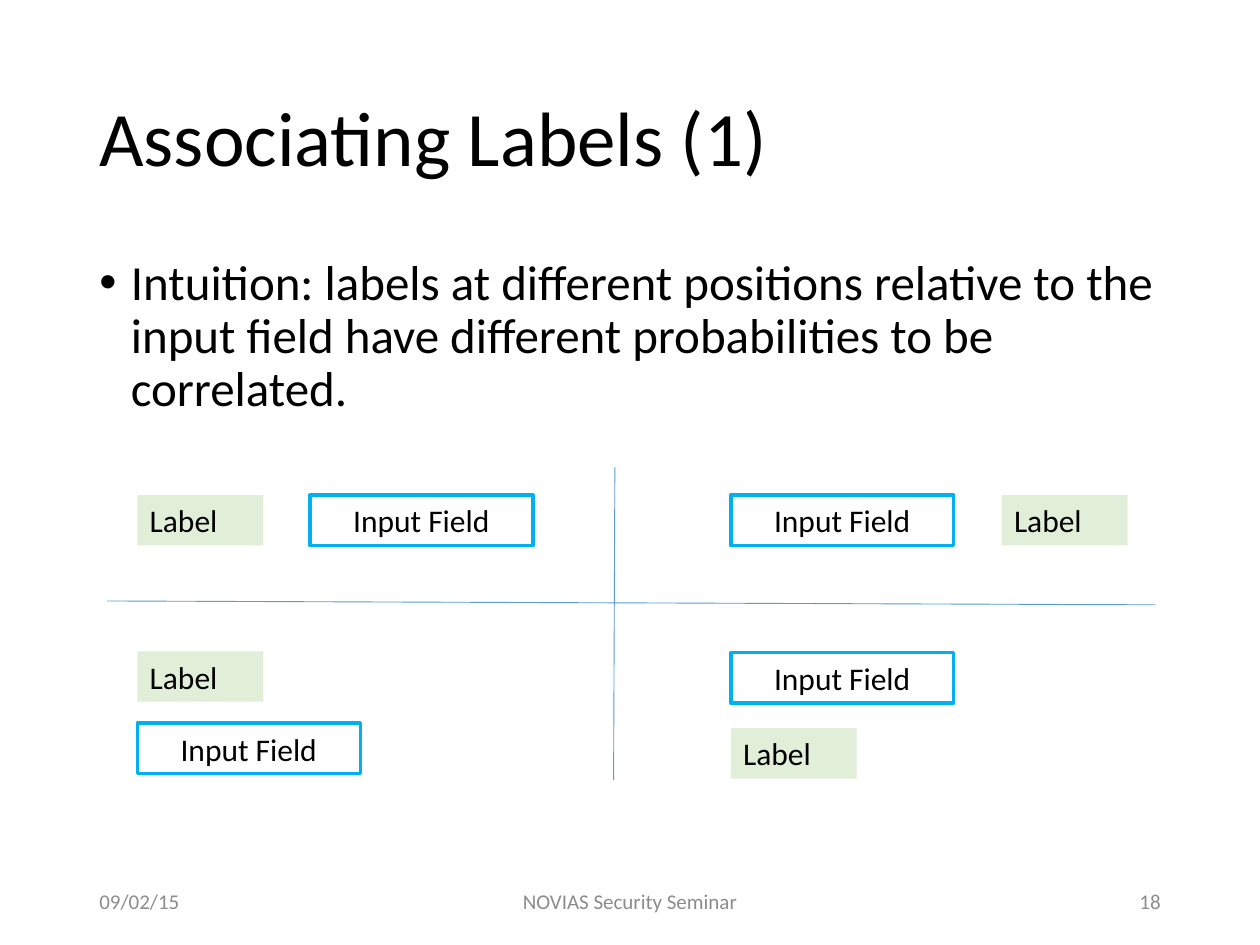
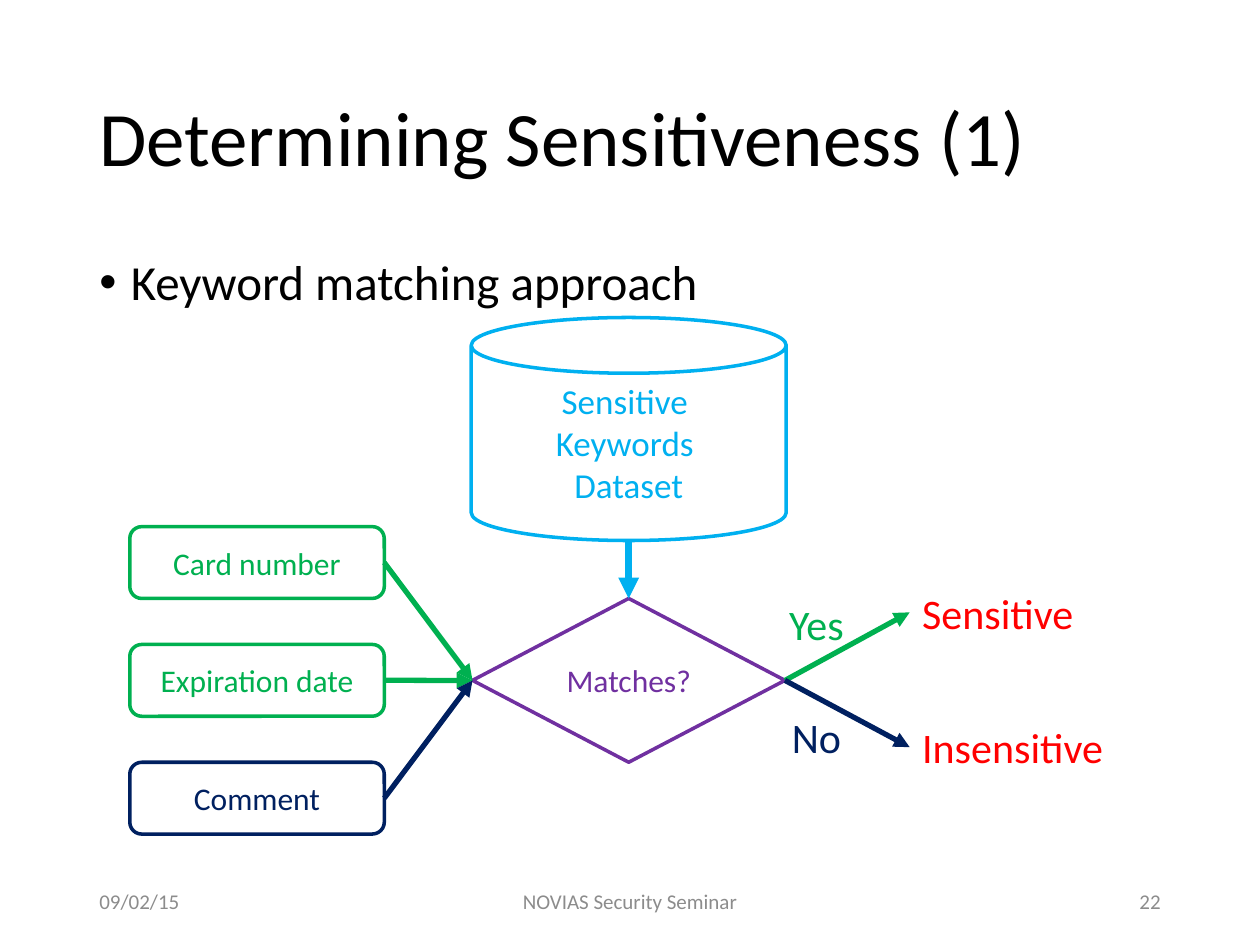
"""Build two seminar slides on associating labels and determining sensitiveness."""
from dataclasses import dataclass

from lxml import etree
from pptx import Presentation
from pptx.dml.color import RGBColor
from pptx.enum import shapes, text
from pptx.oxml import ns
from pptx.util import Inches, Pt


@dataclass(frozen=True)
class Theme:
    font: str = "Calibri"
    black: str = "000000"
    grey: str = "8C8C8C"
    sky: str = "00B0F0"
    green: str = "00B050"
    navy: str = "002060"
    purple: str = "7030A0"
    red: str = "FF0000"
    pale_green: str = "C5E0B4"
    axis: str = "5B9BD5"
    title_size: int = 44
    body_size: int = 28
    answer_size: int = 24
    store_size: int = 20
    node_size: int = 18
    footer_size: int = 12


theme = Theme()
left, center, right = text.PP_ALIGN.LEFT, text.PP_ALIGN.CENTER, text.PP_ALIGN.RIGHT
top, middle = text.MSO_ANCHOR.TOP, text.MSO_ANCHOR.MIDDLE
preset = shapes.MSO_SHAPE


def add_box(page, at, lines, size, color, align=center, anchor=middle, kind=None, outline=None, fill=None):
    frame = [Inches(value) for value in at]
    if kind is None:
        box = page.shapes.add_textbox(*frame)
    else:
        box = page.shapes.add_shape(kind, *frame)
        box.shadow.inherit = False
        if fill:
            box.fill.solid()
            box.fill.fore_color.rgb = RGBColor.from_string(fill)
        else:
            box.fill.background()
        if outline:
            box.line.color.rgb = RGBColor.from_string(outline)
            box.line.width = Pt(2)
        else:
            box.line.fill.background()
    box.text_frame.word_wrap = True
    box.text_frame.vertical_anchor = anchor
    for index, line in enumerate(lines):
        para = box.text_frame.add_paragraph() if index else box.text_frame.paragraphs[0]
        para.alignment = align
        span = para.add_run()
        span.text = line
        span.font.name = theme.font
        span.font.size = Pt(size)
        span.font.color.rgb = RGBColor.from_string(color)
    return box


def add_line(page, start, end, color, width, arrow=True):
    points = [Inches(value) for value in (*start, *end)]
    line = page.shapes.add_connector(shapes.MSO_CONNECTOR.STRAIGHT, *points)
    line.line.color.rgb = RGBColor.from_string(color)
    line.line.width = Pt(width)
    if arrow:
        etree.SubElement(line.line._get_or_add_ln(), ns.qn("a:tailEnd"), type="triangle")
    etree.SubElement(line._element.spPr, ns.qn("a:effectLst"))
    return line


deck = Presentation()
deck.slide_width, deck.slide_height = Inches(10), Inches(7.5)

pages = []
for title, bullet, body_height, number in [
    ("Associating Labels (1)",
     "Intuition: labels at different positions relative to the input field "
     "have different probabilities to be correlated.", 1.39, "18"),
    ("Determining Sensitiveness (1)", "Keyword matching approach", 0.62, "22"),
]:
    page = deck.slides.add_slide(deck.slide_layouts[6])
    pages.append(page)
    heading = add_box(page, (0.69, 0.4, 8.62, 1.45), [title], theme.title_size, theme.black, left)
    heading.text_frame.paragraphs[0].line_spacing = 0.9

    body = add_box(page, (0.69, 2, 8.62, body_height), [bullet], theme.body_size, theme.black, left, top)
    para = body.text_frame.paragraphs[0]
    para.line_spacing = 0.9
    para.space_before = Pt(10)
    properties = para._p.get_or_add_pPr()
    properties.set("marL", str(Inches(0.25)))
    properties.set("indent", str(-Inches(0.25)))
    etree.SubElement(properties, ns.qn("a:buFont"), typeface="Arial")
    etree.SubElement(properties, ns.qn("a:buChar"), char="•")

    for x, width, footer, align in [
        (0.69, 2.25, "09/02/15", left),
        (3.31, 3.38, "NOVIAS Security Seminar", center),
        (7.06, 2.25, number, right),
    ]:
        add_box(page, (x, 6.95, width, 0.4), [footer], theme.footer_size, theme.grey, align)

labels_page, matching_page = pages

for field_at, label_at in [
    ((2.46, 3.93), (1.09, 3.93)),
    ((1.09, 5.74), (1.09, 5.17)),
    ((5.8, 3.93), (7.95, 3.93)),
    ((5.8, 5.18), (5.8, 5.78)),
]:
    add_box(labels_page, (*field_at, 1.77, 0.4), ["Input Field"], theme.node_size, theme.black,
            kind=preset.RECTANGLE, outline=theme.sky)
    label = add_box(labels_page, (*label_at, 1, 0.4), ["Label"], theme.node_size, theme.black, left, top,
                    kind=preset.RECTANGLE, fill=theme.pale_green)
    tint = label._element.spPr.find(".//" + ns.qn("a:srgbClr"))
    etree.SubElement(tint, ns.qn("a:alpha"), val="50000")

add_line(labels_page, (0.85, 4.77), (9.17, 4.8), theme.axis, 0.5, arrow=False)
add_line(labels_page, (4.88, 3.71), (4.87, 6.19), theme.axis, 0.5, arrow=False)

add_box(matching_page, (3.74, 2.52, 2.5, 1.77), ["Sensitive ", "Keywords ", "Dataset"],
        theme.store_size, theme.sky, kind=preset.CAN, outline=theme.sky)
decision = add_box(matching_page, (3.75, 4.75, 2.48, 1.3), ["Matches?"], theme.node_size, theme.purple,
                   kind=preset.DIAMOND, outline=theme.purple)
lookup = add_line(matching_page, (4.99, 4.28), (4.99, 4.75), theme.sky, 4)
lookup.end_connect(decision, 0)

for row, (name, color) in enumerate([
    ("Card number", theme.green),
    ("Expiration date", theme.green),
    ("Comment", theme.navy),
]):
    y = 4.18 + row * 0.935
    field = add_box(matching_page, (1.03, y, 2.02, 0.57), [name], theme.node_size, color,
                    kind=preset.ROUNDED_RECTANGLE, outline=color)
    arrow = add_line(matching_page, (3.05, y + 0.285), (3.75, 5.4), color, 3)
    arrow.begin_connect(field, 3)
    arrow.end_connect(decision, 1)

for answer, answer_y, verdict, verdict_y, color in [
    ("Yes", 4.7, "Sensitive", 4.61, theme.green),
    ("No", 5.6, "Insensitive", 5.68, theme.navy),
]:
    add_box(matching_page, (6.03, answer_y, 0.9, 0.5), [answer], theme.answer_size, color, anchor=top)
    result = add_box(matching_page, (7.22, verdict_y, 1.68, 0.5), [verdict], theme.answer_size, theme.red, left, top)
    arrow = add_line(matching_page, (6.23, 5.4), (7.22, verdict_y + 0.25), color, 3)
    arrow.begin_connect(decision, 3)
    arrow.end_connect(result, 1)

deck.save("out.pptx")
